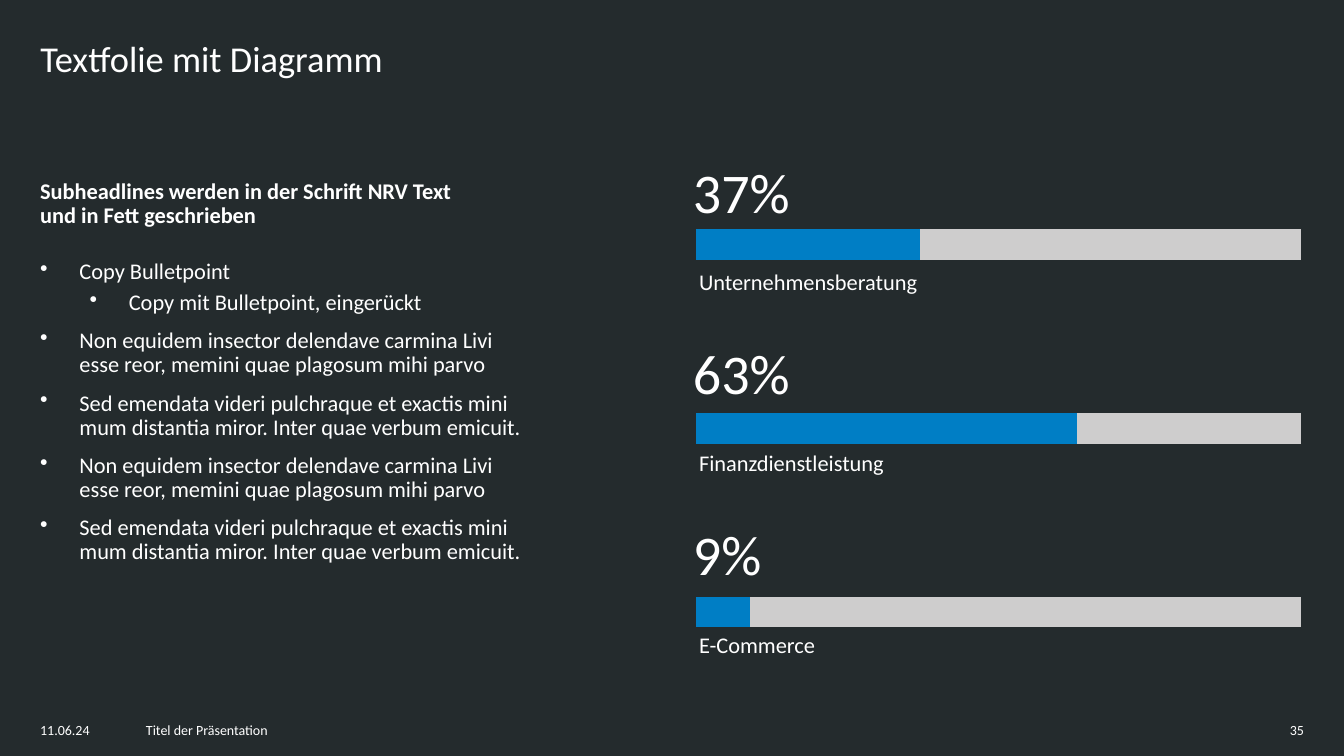
from dataclasses import dataclass

from lxml.etree import SubElement
from pptx import Presentation
from pptx.chart.data import CategoryChartData
from pptx.dml.color import RGBColor
from pptx.enum.chart import XL_CHART_TYPE
from pptx.enum.text import MSO_ANCHOR, PP_ALIGN
from pptx.oxml.ns import qn
from pptx.util import Inches, Pt


@dataclass(frozen=True)
class Theme:
    font: str = "Calibri"
    background: RGBColor = RGBColor(0x24, 0x2B, 0x2D)
    text: RGBColor = RGBColor(0xFF, 0xFF, 0xFF)
    share: RGBColor = RGBColor(0x00, 0x7E, 0xC5)
    rest: RGBColor = RGBColor(0xCE, 0xCD, 0xCD)
    title: int = 26
    figure: int = 40
    body: int = 16
    footer: int = 10


theme = Theme()

# Two equal columns between the margins, in inches
W, H = 13.33, 7.5
MARGIN, GUTTER = 0.3, 0.22
COL_W = (W - 2 * MARGIN - GUTTER) / 2
LEFT, RIGHT = MARGIN, MARGIN + COL_W + GUTTER
FOOTER_Y = 7.11
BAR_ROW = 1.8


def style(tf, size, bold=False, align=PP_ALIGN.LEFT):
    """Apply the theme to a filled text frame."""
    tf.word_wrap = True
    tf.vertical_anchor = MSO_ANCHOR.TOP
    for p in tf.paragraphs:
        p.alignment = align
        for r in p.runs:
            r.font.name = theme.font
            r.font.size = Pt(size)
            r.font.bold = bold
            r.font.color.rgb = theme.text


def add_text(text, x, y, w, h, size, **options):
    tf = slide.shapes.add_textbox(*map(Inches, (x, y, w, h))).text_frame
    tf.text = text
    style(tf, size, **options)
    return tf


prs = Presentation()
prs.slide_width, prs.slide_height = Inches(W), Inches(H)
slide = prs.slides.add_slide(prs.slide_layouts[5])
slide.background.fill.solid()
slide.background.fill.fore_color.rgb = theme.background

# Title
title = slide.shapes.title
title.left, title.top = Inches(LEFT), Inches(MARGIN)
title.width, title.height = Inches(12.2), Inches(1.1)
tf = title.text_frame
tf.text = "Textfolie mit Diagramm"
tf.margin_top = tf.margin_bottom = Inches(0.06)
style(tf, theme.title)

# Left column: subheadline and bullets
tf = add_text("Subheadlines werden in der Schrift NRV Text\vund in Fett geschrieben",
              LEFT, 1.69, COL_W, 0.71, theme.body, bold=True)
tf.margin_top = Inches(0.1)
tf.paragraphs[0].line_spacing = 0.9

verses = [
    "Non equidem insector delendave carmina Livi\vesse reor, memini quae plagosum mihi parvo",
    "Sed emendata videri pulchraque et exactis mini\vmum distantia miror. Inter quae verbum emicuit.",
]
bullets = ["Copy Bulletpoint", "Copy mit Bulletpoint, eingerückt"] + verses * 2
levels = [0, 1, 0, 0, 0, 0]
tf = add_text("\n".join(bullets), LEFT, 2.48, COL_W, 3.88, theme.body)
tf.margin_top = Inches(0.1)
for p, level in zip(tf.paragraphs, levels):
    p.level = level
    p.line_spacing = 0.9
    p.space_before = Pt(5 if level else 10)
    pPr = p._p.get_or_add_pPr()
    pPr.set("marL", str(Inches(0.88 if level else 0.39)))
    pPr.set("indent", str(Inches(-0.39)))
    SubElement(pPr, qn("a:buChar")).set("char", "•")

# Right column: one bar per field, the first field on top
fields = [("Unternehmensberatung", 37), ("Finanzdienstleistung", 63), ("E-Commerce", 9)]
shares = [share for _, share in reversed(fields)]
data = CategoryChartData()
data.categories = ["1", "2", "3"]
data.add_series("Series 1", shares)
data.add_series("Series 2", [100 - share for share in shares])
chart = slide.shapes.add_chart(
    XL_CHART_TYPE.BAR_STACKED_100, Inches(RIGHT), Inches(1.4),
    Inches(COL_W), Inches(5.7), data).chart
chart.has_legend = chart.has_title = False
chart.font.name = theme.font
chart.font.size = Pt(theme.footer)
chart.font.color.rgb = theme.background
chart.value_axis.has_major_gridlines = False
chart.value_axis.visible = chart.category_axis.visible = False
plot = chart.plots[0]
plot.gap_width, plot.overlap = 500, 100
plot.vary_by_categories = False
for series, color in zip(plot.series, (theme.share, theme.rest)):
    series.format.fill.solid()
    series.format.fill.fore_color.rgb = color

for row, (name, share) in enumerate(fields):
    y = 1.51 + row * BAR_ROW
    add_text(f"{share}%", RIGHT, y, 1.36, 0.77, theme.figure)
    add_text(name, RIGHT + 0.06, y + 1.1, 2.6, 0.37, theme.body)

# Footer
for text, x, w, align in [
    ("11.06.24", LEFT, 0.98, PP_ALIGN.LEFT),
    ("Titel der Präsentation", 1.35, 10.63, PP_ALIGN.LEFT),
    ("35", W - MARGIN - 0.79, 0.79, PP_ALIGN.RIGHT),
]:
    add_text(text, x, FOOTER_Y, w, 0.31, theme.footer, align=align)

prs.save("out.pptx")
